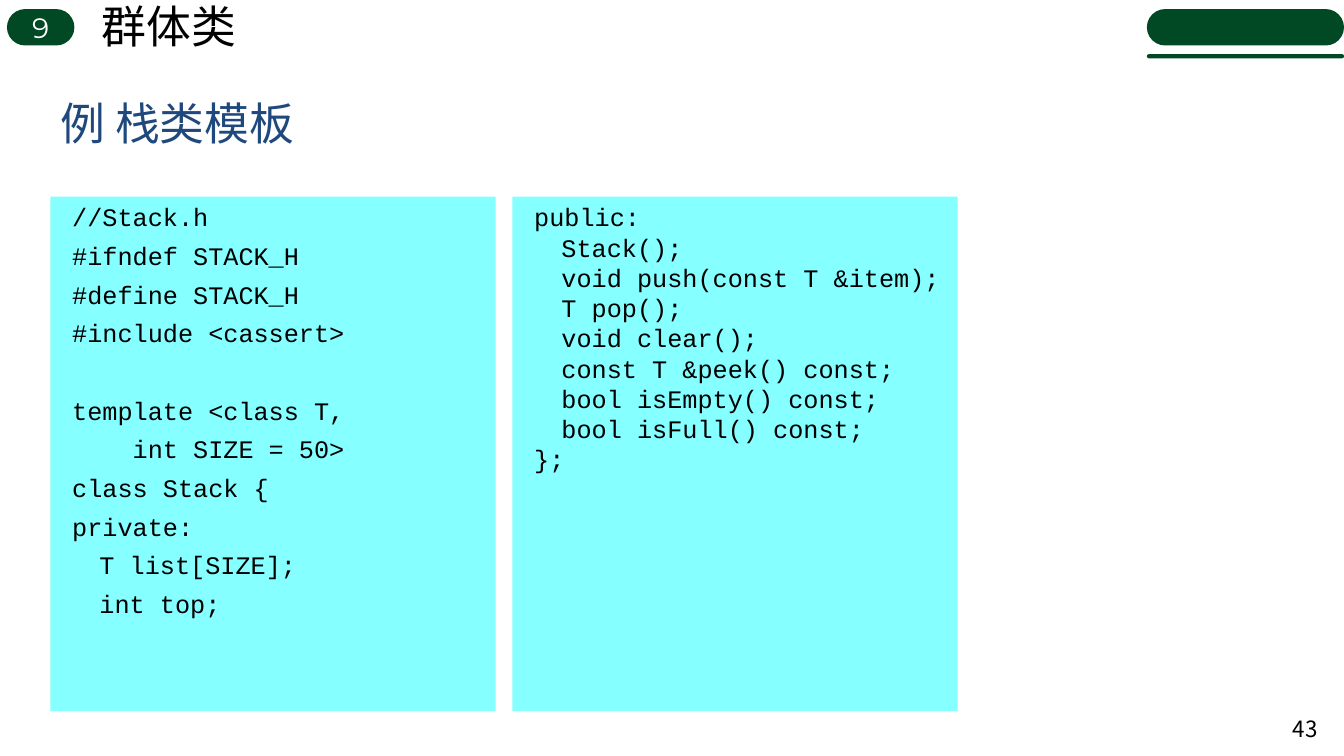
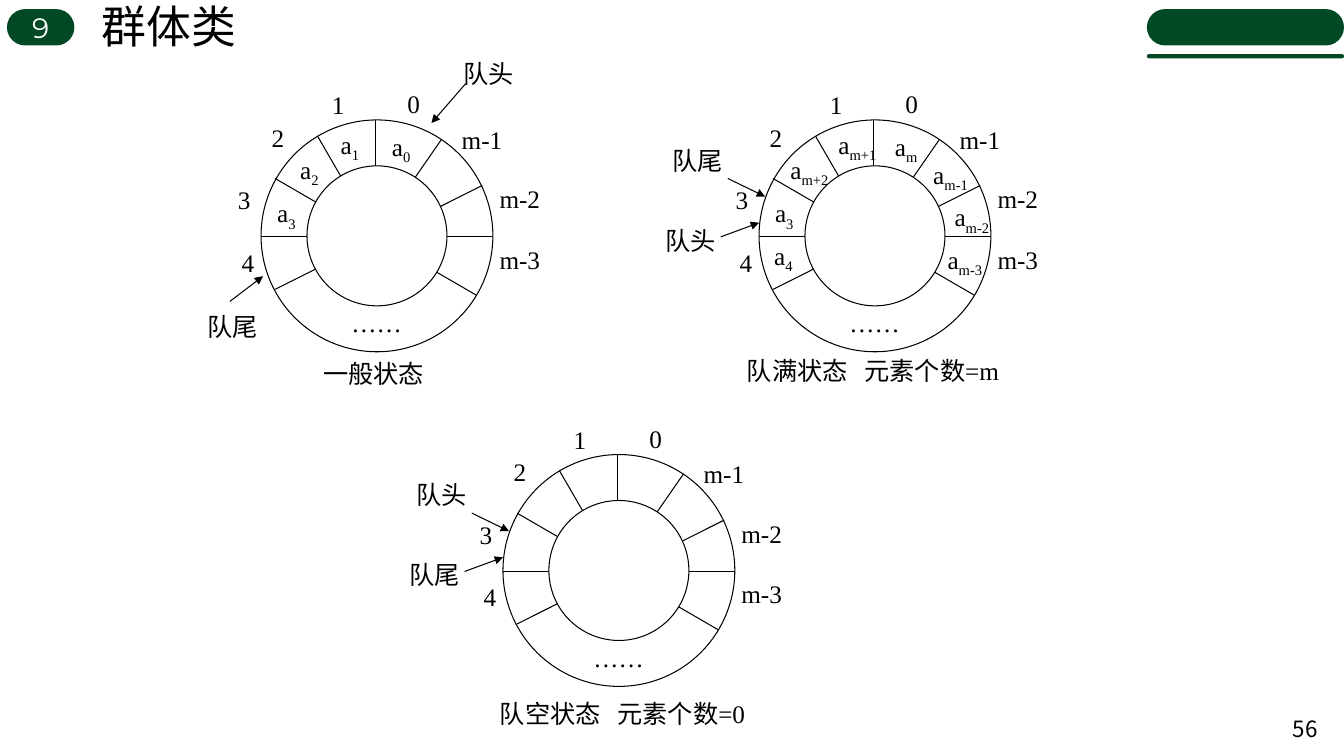
from lxml import etree
from pptx import Presentation
from pptx.dml.color import RGBColor
from pptx.enum.shapes import MSO_CONNECTOR, MSO_SHAPE
from pptx.enum.text import MSO_ANCHOR, PP_ALIGN
from pptx.oxml.ns import qn
from pptx.util import Pt

ROUND, RECT, OVAL = MSO_SHAPE.ROUNDED_RECTANGLE, MSO_SHAPE.RECTANGLE, MSO_SHAPE.OVAL
LINE = MSO_CONNECTOR.STRAIGHT
LEFT, MID, RIGHT = PP_ALIGN.LEFT, PP_ALIGN.CENTER, PP_ALIGN.RIGHT
TOP, CORE = MSO_ANCHOR.TOP, MSO_ANCHOR.MIDDLE

HUES = {"green": "014924", "blue": "1F497D", "cyan": "85FFFF",
        "black": "000000", "white": "FFFFFF"}
CODE, SANS, HEAD, HAN, SERIF = ("Courier New", "Arial", "Montserrat",
                                "Noto Sans CJK SC", "Times New Roman")

SPOKES = [(82, 0, 82, 85), (0, 83.5, 165.6, 83.5), (40.3, 11.5, 82, 83.5),
          (10, 41.8, 154, 125.3), (10, 121, 158, 46.8), (80.6, 83.5, 129, 13.7)]
MARKS = [(55, -21.6, "1"), (12, 1.4, "2"), (-12.2, 46, "3"), (-9.4, 90.7, "4"),
         (109, -22.3, "0"), (157.8, 2.9, "m-1"), (184.8, 45.4, "m-2"),
         (184.8, 88.6, "m-3"), (82.5, 134, "……")]
SIDE = [(-22.3, 41.8, 4.3, 54.7), (-27.4, 83.5, 0, 73.4)]
UPPER, LOWER = (-44, 18), (-49, 75)

RINGS = [
    {"at": (186.5, 85.7), "note": (44.3, 170, "一般状态"),
     "cells": [(100, 8, "0"), (63.4, 6.5, "1"), (34.5, 24.5, "2"), (18, 55.4, "3")],
     "ends": [(162.7, -44, "队头"), (-20.2, 136.8, "队尾")],
     "heads": [(146.2, -26, 121.7, 2.2), (-22.3, 129.6, 1.4, 111.6)]},
    {"at": (542.2, 85.7), "note": (-8.7, 167.8, "队满状态\t元素个数=m"),
     "cells": [(105, 8, "m"), (70.2, 6.5, "m+1"), (36, 24.5, "m+2"), (18, 55.4, "3"),
               (17.3, 85.7, "4"), (136.8, 28, "m-1"), (152, 58.3, "m-2"),
               (147, 88.6, "m-3")],
     "ends": [(*UPPER, "队尾"), (*LOWER, "队头")], "heads": SIDE},
    {"at": (359.3, 324.7), "note": (-2.2, 174.2, "队空状态\t元素个数=0"),
     "cells": [], "ends": [(*UPPER, "队头"), (*LOWER, "队尾")], "heads": SIDE},
]

DECL = """//Stack.h
#ifndef STACK_H
#define STACK_H
#include <cassert>

template <class T,
    int SIZE = 50>
class Stack {
private:
\tT list[SIZE];
\tint top;"""

BODY = """public:
\tStack();
\tvoid push(const T &item);
\tT pop();
\tvoid clear();
\tconst T &peek() const;
\tbool isEmpty() const;
\tbool isFull() const;
};"""


class Deck:
    """Hold the shared style and the current slide."""

    def __init__(self):
        self.file = Presentation()
        self.file.slide_width, self.file.slide_height = Pt(960), Pt(540)

    def hue(self, name):
        return RGBColor.from_string(HUES[name])

    def start(self, page):
        self.slide = self.file.slides.add_slide(self.file.slide_layouts[6])
        badge = self.shape(ROUND, (5, 6.5, 48.2, 26), "green")
        self.label(badge, "9", 20, HEAD, "white", MID, CORE)
        self.text((65.5, -4.3, 111.6, 46), "群体类", 32, SANS, wrap=False)
        for top, high in ((6.5, 26), (38.7, 3)):
            self.shape(ROUND, (819.2, top, 140.8, high), "green")
        self.text((913, 506, 35.3, 29), page, 16, HAN, side=RIGHT, anchor=CORE)

    def shape(self, kind, box, fill=None, edge=None):
        item = self.slide.shapes.add_shape(kind, *map(Pt, box))
        item.shadow.inherit = False
        if kind == ROUND:
            item.adjustments[0] = 0.5
        if fill:
            item.fill.solid()
            item.fill.fore_color.rgb = self.hue(fill)
        else:
            item.fill.background()
        if edge:
            item.line.color.rgb = self.hue(edge)
            item.line.width = Pt(0.75)
        else:
            item.line.fill.background()
        return item

    def style(self, run, size, font, hue):
        run.font.size, run.font.name = Pt(size), font
        run.font.color.rgb = self.hue(hue)
        if max(run.text) >= "一":
            props = run._r.get_or_add_rPr()
            etree.SubElement(props, qn("a:ea")).set("typeface", HAN)

    def label(self, item, text, size, font, hue="black", side=LEFT, anchor=TOP,
              wrap=True):
        frame = item.text_frame
        frame.text, frame.word_wrap, frame.vertical_anchor = text, wrap, anchor
        for para in frame.paragraphs:
            para.alignment = side
            for run in para.runs:
                self.style(run, size, font, hue)
        return frame

    def text(self, box, *args, **opts):
        item = self.slide.shapes.add_textbox(*map(Pt, box))
        return self.label(item, *args, **opts)

    def code(self, box, text, after=0):
        frame = self.label(self.shape(RECT, box, "cyan"),
                           text.replace("\n\n", "\n"), 18, CODE)
        first = text.partition("\n\n")[2].partition("\n")[0]
        for para in frame.paragraphs:
            props = para._p.get_or_add_pPr()
            props.set("marL", str(Pt(28)))
            props.set("indent", str(Pt(-19.5)))
            para.space_after = Pt(after)
            if first and para.text == first:
                para.space_before = Pt(27.6)

    def tag(self, left, top, text, wide=60, side=MID):
        frame = self.text((left, top, wide, 24), text, 18, SERIF, side=side)
        frame.margin_left = frame.margin_right = 0
        frame.margin_top = frame.margin_bottom = 0
        return frame.paragraphs[0]

    def cell(self, left, top, sub):
        run = self.tag(left, top, "a").add_run()
        run.text = sub
        self.style(run, 18, SERIF, "black")
        run._r.get_or_add_rPr().set("baseline", "-25000")

    def note(self, left, top, text):
        para = self.tag(left, top, text, 225, LEFT)
        stops = etree.SubElement(para._p.get_or_add_pPr(), qn("a:tabLst"))
        stop = etree.SubElement(stops, qn("a:tab"))
        stop.set("pos", str(Pt(84)))
        stop.set("algn", "l")

    def line(self, ends, arrow=False):
        item = self.slide.shapes.add_connector(LINE, *map(Pt, ends))
        item.line.color.rgb = self.hue("black")
        item.line.width = Pt(0.75)
        if arrow:
            tip = etree.SubElement(item.line._get_or_add_ln(), qn("a:tailEnd"))
            tip.set("type", "triangle")
        etree.SubElement(item._element.spPr, qn("a:effectLst"))

    def ring(self, at, note, cells, ends, heads):
        x, y = at

        def move(line):
            a, b, c, d = line
            return x + a, y + b, x + c, y + d

        self.shape(OVAL, (x, y, 165.6, 165.6), edge="black")
        for spoke in SPOKES:
            self.line(move(spoke))
        self.shape(OVAL, (x + 32.8, y + 32.8, 100, 100), "white", "black")
        for a, b, text in MARKS + ends:
            self.tag(x + a - 30, y + b, text)
        for a, b, sub in cells:
            self.cell(x + a - 30, y + b, sub)
        for head in heads:
            self.line(move(head), True)
        a, b, text = note
        self.note(x + a, y + b, text)


def main():
    deck = Deck()
    deck.start("43")
    deck.text((36, 45.4, 648, 84), "例 栈类模板", 32, HEAD, "blue", anchor=CORE)
    deck.code((36, 140.5, 318, 367.5), DECL, 6)
    deck.code((366, 140.5, 318, 367.5), BODY)
    deck.start("56")
    for ring in RINGS:
        deck.ring(**ring)
    deck.file.save("out.pptx")


if __name__ == "__main__":
    main()
